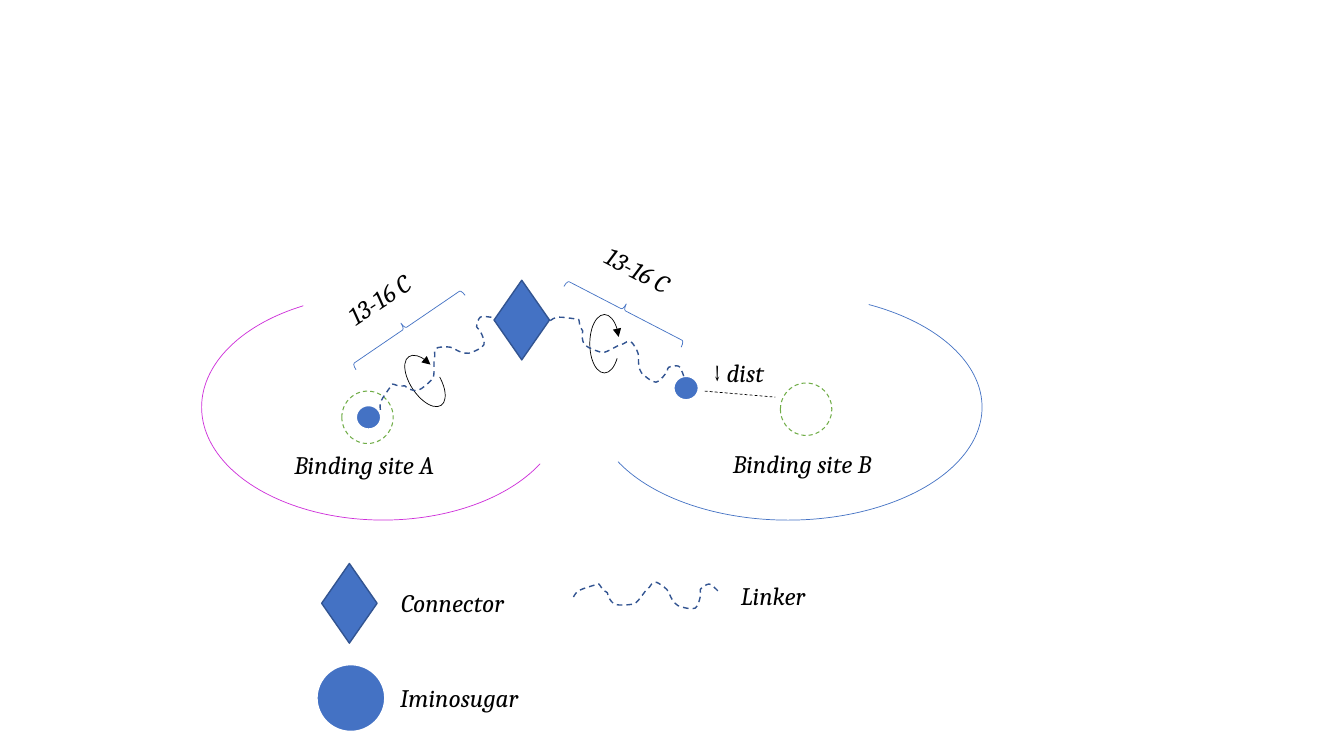
from lxml import etree
from pptx import Presentation
from pptx.dml.color import RGBColor
from pptx.enum.dml import MSO_LINE
from pptx.enum.shapes import MSO_CONNECTOR, MSO_SHAPE
from pptx.enum.text import MSO_AUTO_SIZE
from pptx.oxml.ns import qn
from pptx.util import Inches, Pt

DASH = MSO_LINE.DASH
ARC, OVAL = MSO_SHAPE.ARC, MSO_SHAPE.OVAL
DIAMOND, BRACE = MSO_SHAPE.DIAMOND, MSO_SHAPE.RIGHT_BRACE
COLORS = {"black": "000000", "white": "FFFFFF", "blue": "4472C4",
          "navy": "325491", "green": "70AD47", "magenta": "CE2EDA"}
CELL = 0.1  # inches per grid column and row

# Linker wave before rotation, in grid cells from its top left corner
WAVE_SIZE = (13.3, 6)
WAVE = [(0, 6), (0.3, 5.2), (1.6, 4.1), (1.9, 3.9), (2.5, 4.3), (3, 4.4),
        (3.3, 4.8), (4.2, 5.2), (5.7, 4.6), (6.1, 4.1), (6.5, 2.8),
        (6.7, 2.4), (6.8, 2), (7.2, 1.7), (8.4, 2), (9.2, 2.7), (10, 3.1),
        (11.4, 2.9), (11.8, 2.4), (11.7, 1.2), (11.5, 0.8), (12.1, 0),
        (12.9, 0.2), (13.3, 0.4)]


def grid(*cells):
    return [Inches(n * CELL) for n in cells]


def curve_segments(s, points):
    """Turn the straight segments of a freeform into smooth cubic curves."""
    padded = [points[0], *points, points[-1]]
    segments = list(s.element.iter(qn("a:lnTo")))
    for segment, a, b, c, d in zip(segments, padded, padded[1:],
                                   padded[2:], padded[3:]):
        segment.tag = qn("a:cubicBezTo")
        leave = [q + (r - p) / 6 for p, q, r in zip(a, b, c)]
        arrive = [q - (r - p) / 6 for p, q, r in zip(b, c, d)]
        for i, (x, y) in enumerate((leave, arrive)):
            pt = etree.Element(qn("a:pt"), x=str(round(x)), y=str(round(y)))
            segment.insert(i, pt)


class Diagram:
    """Holds the style and the current slide."""
    font, size = "Cambria", Pt(18)

    def __init__(self, slide):
        self.shapes = slide.shapes

    def style_line(self, line, color, width, dash=None):
        line.color.rgb = RGBColor.from_string(COLORS[color])
        line.width = Pt(width)
        if dash:
            line.dash_style = dash

    def style(self, s, line, fill, rotation):
        s.shadow.inherit = False
        if fill:
            s.fill.solid()
            s.fill.fore_color.rgb = RGBColor.from_string(COLORS[fill])
        else:
            s.fill.background()
        self.style_line(s.line, *line)
        s.rotation = rotation

    def shape(self, kind, box, line, fill=None, rotation=0, adj=()):
        s = self.shapes.add_shape(kind, *grid(*box))
        for i, value in enumerate(adj):
            s.adjustments[i] = value
        self.style(s, line, fill, rotation)
        return s

    def arc(self, box, line, adj, flip=False, arrow=False, rotation=0):
        s = self.shape(ARC, box, line, rotation=rotation, adj=adj)
        if flip:
            s.element.spPr.xfrm.set("flipH", "1")
        if arrow:
            ln = s.element.spPr.find(qn("a:ln"))
            etree.SubElement(ln, qn("a:headEnd"), type="triangle")

    def connector(self, start, end, line):
        c = self.shapes.add_connector(MSO_CONNECTOR.STRAIGHT, *grid(*start, *end))
        self.style_line(c.line, *line)
        etree.SubElement(c.element.spPr, qn("a:effectLst"))

    def linker(self, left, top, rotation):
        points = [grid(*point) for point in WAVE]
        builder = self.shapes.build_freeform(*points[0])
        builder.add_line_segments(points[1:], close=False)
        s = builder.convert_to_shape()
        curve_segments(s, points)
        s.left, s.top, s.width, s.height = grid(left, top, *WAVE_SIZE)
        self.style(s, ("navy", 1, DASH), None, rotation)

    def diamond(self, left, top):
        self.shape(DIAMOND, (left, top, 5.5, 7.9), ("navy", 1), "blue")

    def sugar(self, *box):
        self.shape(OVAL, box, ("white", 1.5), "blue")

    def site(self, left, top):
        self.shape(OVAL, (left, top, 5.1, 5.2), ("green", 0.75, DASH))

    def brace(self, left, top, rotation):
        self.shape(BRACE, (left, top, 1.3, 13.1), ("blue", 0.5),
                   rotation=rotation, adj=(0.18, 0.48))

    def label(self, left, top, width, text, upright="", rotation=0):
        """Add an italic label, optionally led by upright text."""
        s = self.shapes.add_textbox(*grid(left, top, width, 4))
        s.rotation = rotation
        tf = s.text_frame
        tf.word_wrap = False
        tf.auto_size = MSO_AUTO_SIZE.SHAPE_TO_FIT_TEXT
        p = tf.paragraphs[0]
        p.font.name, p.font.size = self.font, self.size
        p.font.color.rgb = RGBColor.from_string(COLORS["black"])
        if upright:
            p.add_run().text = upright
        r = p.add_run()
        r.text = text
        r.font.italic = True


def main():
    prs = Presentation()
    prs.slide_width, prs.slide_height = Inches(13.33), Inches(7.5)
    d = Diagram(prs.slides.add_slide(prs.slide_layouts[6]))

    # Rotation arrows and the two protein outlines
    thin = ("black", 0.5)
    d.arc((40.7, 34.9, 2.9, 5.8), thin, (130.86, 97.06), True, True, 326.5)
    d.arc((58.5, 31.2, 2.9, 5.8), thin, (123.34, 78.71), True, True)
    d.site(33.9, 38.8)
    d.arc((20, 29.2, 36, 22.4), ("magenta", 0.5), (11.89, 139.08))
    d.arc((58.9, 29.2, 38.5, 22.4), ("blue", 0.5), (10.68, 139.08), True)

    # Binding sites and the sugars
    d.sugar(35.3, 40.2, 2.5, 2.4)
    d.sugar(66.8, 37.3, 2.5, 2.4)
    d.site(77.4, 38)
    d.connector((69.9, 38.8), (76.9, 39.4), ("black", 0.5, DASH))
    d.label(69.8, 35, 7.6, "dist", upright="↓ ")
    d.label(28.2, 44.1, 16.5, "Binding site A")
    d.label(71.7, 44, 16.5, "Binding site B")

    # Linkers around the connector
    d.linker(36.6, 32.9, 343.5)
    d.linker(54.7, 31.5, 45.9)
    d.diamond(49, 27.8)
    d.brace(39.7, 25.9, 235.7)
    d.brace(61.4, 24.3, 297.4)
    d.label(33.1, 27.3, 10.1, "13-16 C", rotation=326.6)
    d.label(58.8, 25.1, 10.1, "13-16 C", rotation=27.8)

    # Legend
    d.sugar(31.4, 65.9, 6.8, 6.7)
    d.diamond(31.9, 55.9)
    d.label(38.7, 67.2, 14.1, "Iminosugar")
    d.label(38.8, 57.8, 12.7, "Connector")
    d.linker(57.5, 55.8, 20.9)
    d.label(72.5, 57.1, 8.8, "Linker")

    prs.save("out.pptx")


if __name__ == "__main__":
    main()
